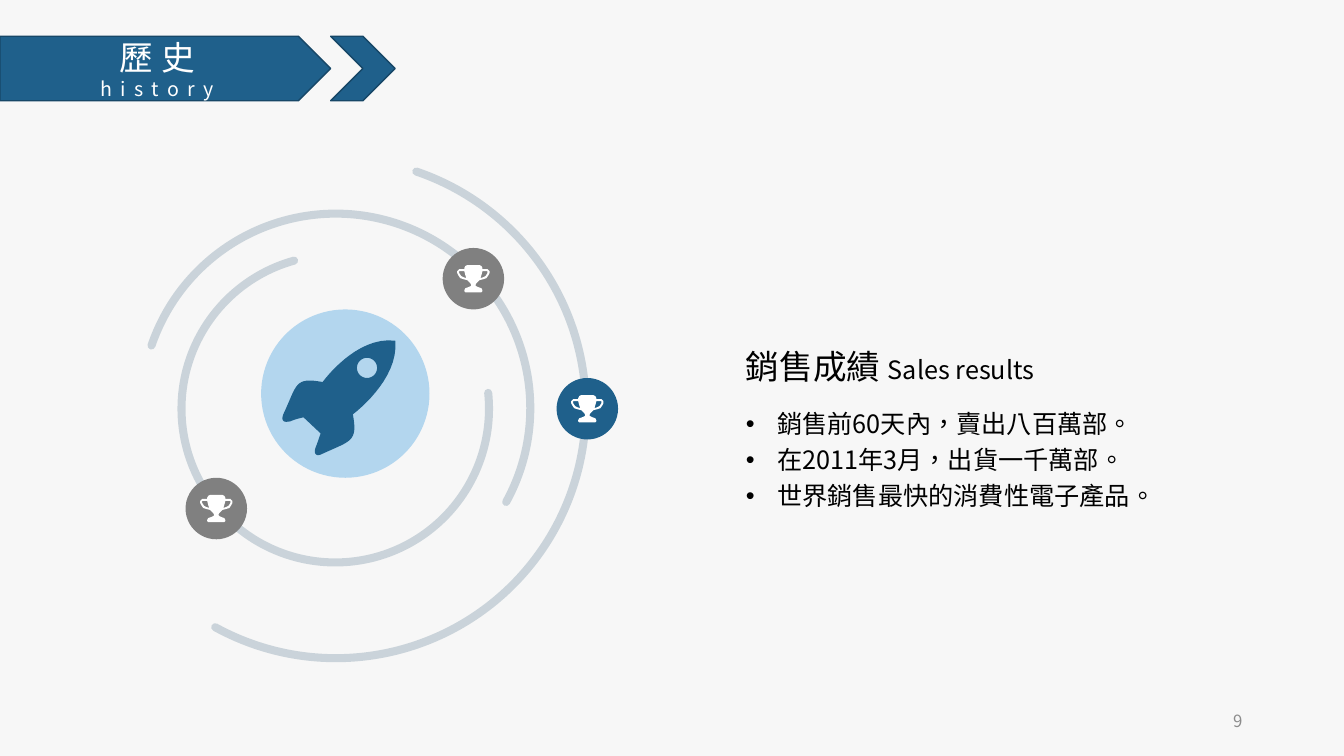
"""Build the history slide with orbit arcs, a rocket, trophies and sales results."""
import math
import pptx
import pptx.dml.color
import pptx.enum.shapes
import pptx.enum.text
import pptx.oxml
import pptx.oxml.ns
import pptx.util

Inches = pptx.util.Inches
RGBColor = pptx.dml.color.RGBColor
SHAPE = pptx.enum.shapes.MSO_SHAPE
ALIGN = pptx.enum.text.PP_ALIGN
ANCHOR = pptx.enum.text.MSO_ANCHOR

FONT = "Noto Sans CJK SC"
BACKGROUND = RGBColor(0xF7, 0xF7, 0xF7)
BLUE = RGBColor(0x1F, 0x60, 0x8B)
DARK_BLUE = RGBColor(0x17, 0x47, 0x67)
LIGHT_BLUE = RGBColor(0xB3, 0xD6, 0xEE)
GREY = RGBColor(0x80, 0x80, 0x80)
PAGE_GREY = RGBColor(0x8C, 0x8C, 0x8C)
WHITE = RGBColor(0xFF, 0xFF, 0xFF)
BLACK = RGBColor(0, 0, 0)

presentation = pptx.Presentation()
presentation.slide_width = Inches(13.33)
presentation.slide_height = Inches(7.5)
slide = presentation.slides.add_slide(presentation.slide_layouts[6])
slide.background.fill.solid()
slide.background.fill.fore_color.rgb = BACKGROUND


def add_run(paragraph, text, size, color, spacing=0):
    """Append a formatted run to a paragraph."""
    run = paragraph.add_run()
    run.text = text
    for name, value in {"name": FONT, "size": pptx.util.Pt(size)}.items():
        setattr(run.font, name, value)
    run.font.color.rgb = color
    properties = run._r.get_or_add_rPr()
    for name, value in {"lang": "zh-TW", "spc": str(spacing * 100)}.items():
        properties.set(name, value)
    east_asian = pptx.oxml.parse_xml(f'<a:ea {pptx.oxml.ns.nsdecls("a")} typeface="{FONT}"/>')
    properties.find(pptx.oxml.ns.qn("a:latin")).addnext(east_asian)


def add_outline(contours, color):
    """Draw closed contours, given in inches, as one filled shape."""
    builder = None
    for contour in contours:
        points = [(Inches(x), Inches(y)) for x, y in contour]
        if builder is None:
            builder = slide.shapes.build_freeform(*points[0], scale=1.0)
        else:
            builder.move_to(*points[0])
        builder.add_line_segments(points[1:], close=True)
    shape = builder.convert_to_shape()
    shape.shadow.inherit = False
    shape.fill.solid()
    shape.fill.fore_color.rgb = color
    shape.line.fill.background()


ROCKET_START = (3.5, 4.11)
ROCKET_CURVES = [
    ((3.5, 4.11), (3.96, 3.77), (3.92, 3.38)),
    ((3.53, 3.33), (3.2, 3.79), (3.2, 3.79)),
    ((2.92, 3.74), (2.95, 3.81), (2.81, 4.11)),
    ((2.78, 4.19), (2.83, 4.19), (2.88, 4.18)),
    ((2.92, 4.16), (3.01, 4.14), (3.01, 4.14)),
    ((3.18, 4.3), (3.18, 4.3), (3.18, 4.3)),
    ((3.18, 4.3), (3.15, 4.39), (3.13, 4.44)),
    ((3.11, 4.49), (3.13, 4.53), (3.18, 4.51)),
    ((3.48, 4.37), (3.55, 4.39), (3.5, 4.11)),
]
TROPHY_HALF = [
    (0, 0), (0.06, 0), (0.08, 0.01), (0.09, 0.03), (0.09, 0.04),
    (0.14, 0.04), (0.15, 0.05), (0.16, 0.06), (0.16, 0.08), (0.15, 0.1),
    (0.13, 0.13), (0.1, 0.14), (0.06, 0.15), (0.03, 0.18), (0.02, 0.2),
    (0.03, 0.21), (0.05, 0.22), (0.08, 0.23), (0.09, 0.25), (0.09, 0.26),
    (0.08, 0.27), (0, 0.27),
]
HANDLE = [(0.14, 0.06), (0.14, 0.08), (0.12, 0.11), (0.1, 0.12),
          (0.07, 0.13), (0.08, 0.1), (0.09, 0.06)]
ORBITS = [
    (1.8, 2.53, 3.05, 0, (212.45, 152.69)),
    (1.4, 2.12, 3.86, 0, (119.27, 17.3)),
    (0.85, 1.57, 4.96, 90, (119.27, 17.3)),
]
DISCS = [
    (2.59, 3.07, 1.67, LIGHT_BLUE),
    (4.39, 2.46, 0.61, GREY),
    (1.84, 4.74, 0.61, GREY),
    (5.52, 3.75, 0.61, BLUE),
]

for left, top, size, rotation, angles in ORBITS:
    orbit = slide.shapes.add_shape(SHAPE.ARC, *map(Inches, (left, top, size, size)))
    orbit.shadow.inherit = False
    orbit.rotation = rotation
    orbit.adjustments[0], orbit.adjustments[1] = angles
    orbit.fill.background()
    orbit.line.color.rgb = DARK_BLUE
    orbit.line.width = pptx.util.Pt(5.75)
    outline = orbit.line._get_or_add_ln()
    outline.set("cap", "rnd")
    alpha = pptx.oxml.parse_xml(f'<a:alpha {pptx.oxml.ns.nsdecls("a")} val="20000"/>')
    outline.find(".//" + pptx.oxml.ns.qn("a:srgbClr")).append(alpha)

for left, top, size, color in DISCS:
    disc = slide.shapes.add_shape(SHAPE.OVAL, *map(Inches, (left, top, size, size)))
    disc.shadow.inherit = False
    disc.fill.solid()
    disc.fill.fore_color.rgb = color
    disc.line.fill.background()

rocket = [ROCKET_START]
for first, second, end in ROCKET_CURVES:
    start = rocket[-1]
    for step in range(1, 17):
        t = step / 16
        rocket.append(tuple(
            (1 - t) ** 3 * a + 3 * (1 - t) ** 2 * t * b + 3 * (1 - t) * t ** 2 * c + t ** 3 * d
            for a, b, c, d in zip(start, first, second, end)))
window = [(3.64 + 0.1 * math.cos(math.tau * step / 32), 3.65 + 0.1 * math.sin(math.tau * step / 32))
          for step in range(32)]
add_outline([rocket, window], BLUE)

trophy = [TROPHY_HALF + [(-x, y) for x, y in reversed(TROPHY_HALF)],
          HANDLE, [(-x, y) for x, y in HANDLE]]
for left, top, size, color in DISCS[1:]:
    add_outline([[(left + size / 2 + x, top + 0.17 + y) for x, y in contour]
                 for contour in trophy], WHITE)

banner_shapes = []
for kind, left, width in [(SHAPE.PENTAGON, 0, 3.28), (SHAPE.CHEVRON, 3.28, 0.64)]:
    banner = slide.shapes.add_shape(kind, *map(Inches, (left, 0.36, width, 0.64)))
    banner.shadow.inherit = False
    banner.fill.solid()
    banner.fill.fore_color.rgb = BLUE
    banner.line.color.rgb = DARK_BLUE
    banner.line.width = pptx.util.Pt(1)
    banner_shapes.append(banner)

frame = banner_shapes[0].text_frame
frame.vertical_anchor = ANCHOR.MIDDLE
for paragraph, text, size in [(frame.paragraphs[0], "歷史", 24), (frame.add_paragraph(), "history", 14)]:
    paragraph.alignment = ALIGN.CENTER
    add_run(paragraph, text, size, WHITE, spacing=6)

frames = []
for box in [(7.3, 3.3, 4.63, 0.86), (7.3, 3.94, 4.49, 1.42), (9.42, 6.95, 3, 0.4)]:
    frame = slide.shapes.add_textbox(*map(Inches, box)).text_frame
    frame.word_wrap = True
    frames.append(frame)
heading, results, page = frames

heading.paragraphs[0].line_spacing = 1.2
add_run(heading.paragraphs[0], "銷售成績 ", 24, BLACK)
add_run(heading.paragraphs[0], "Sales results", 18, BLACK)

RESULTS = ["銷售前60天內，賣出八百萬部。", "在2011年3月，出貨一千萬部。", "世界銷售最快的消費性電子產品。"]
for index, text in enumerate(RESULTS):
    paragraph = results.add_paragraph() if index else results.paragraphs[0]
    paragraph.line_spacing = 1.2
    properties = paragraph._p.get_or_add_pPr()
    for name, value in {"marL": Inches(0.31), "indent": -Inches(0.31)}.items():
        properties.set(name, str(value))
    for bullet in ['<a:buFont {} typeface="Arial"/>', '<a:buChar {} char="•"/>']:
        properties.append(pptx.oxml.parse_xml(bullet.format(pptx.oxml.ns.nsdecls("a"))))
    add_run(paragraph, text, 18, BLACK)

page.vertical_anchor = ANCHOR.MIDDLE
page.paragraphs[0].alignment = ALIGN.RIGHT
add_run(page.paragraphs[0], "9", 12, PAGE_GREY)

presentation.save("out.pptx")
